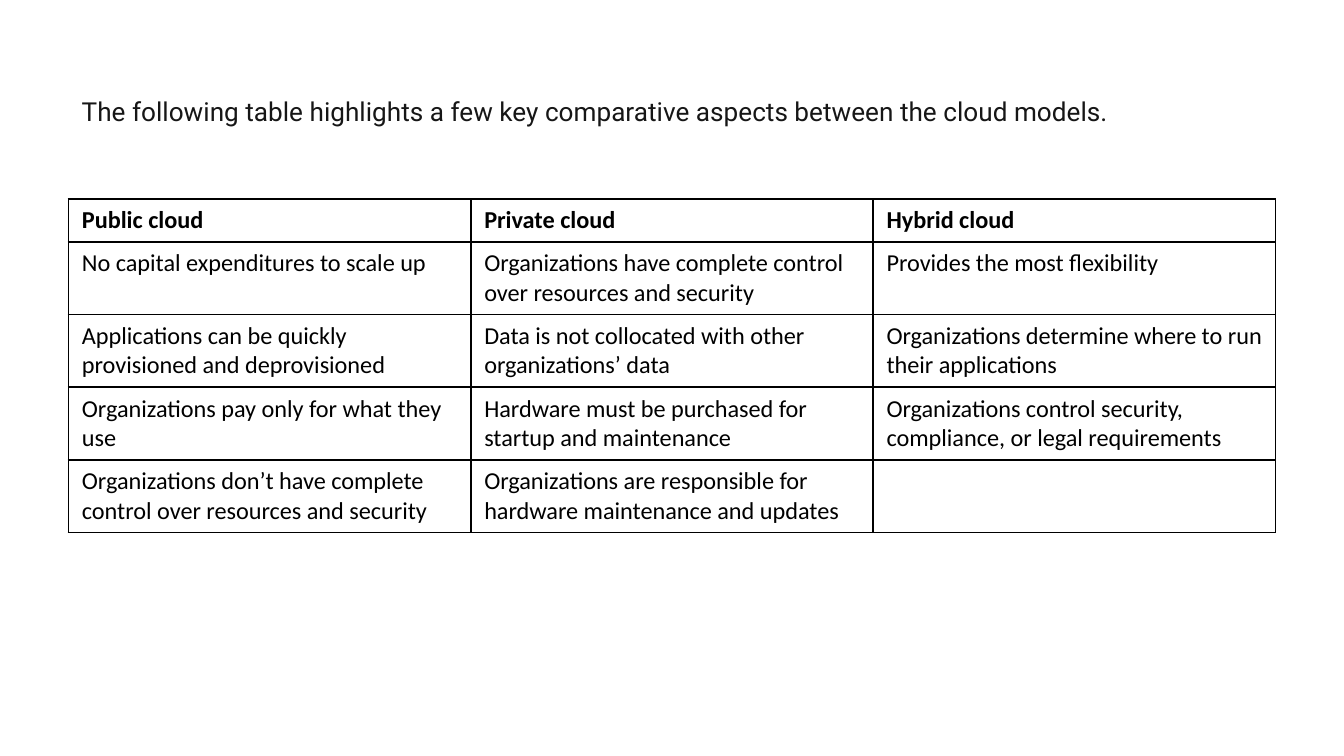
from pptx import Presentation
from pptx.dml.color import RGBColor
from pptx.enum import text
from pptx.oxml import parse_xml
from pptx.oxml.ns import nsdecls
from pptx.util import Inches, Pt

COLORS = {"caption": "161616", "table": "000000"}
CLOUD_MODELS = [
    ["Public cloud", "Private cloud", "Hybrid cloud"],
    ["No capital expenditures to scale up",
     "Organizations have complete control over resources and security",
     "Provides the most flexibility"],
    ["Applications can be quickly provisioned and deprovisioned",
     "Data is not collocated with other organizations’ data",
     "Organizations determine where to run their applications"],
    ["Organizations pay only for what they use",
     "Hardware must be purchased for startup and maintenance",
     "Organizations control security, compliance, or legal requirements"],
    ["Organizations don’t have complete control over resources and security",
     "Organizations are responsible for hardware maintenance and updates",
     ""],
]


def style_font(font, name, size, color):
    font.name = name
    font.size = Pt(size)
    font.color.rgb = RGBColor.from_string(COLORS[color])


def add_borders(cell):
    properties = cell._tc.get_or_add_tcPr()
    for position, side in enumerate(("lnL", "lnR", "lnT", "lnB")):
        properties.insert(position, parse_xml(
            f'<a:{side} {nsdecls("a")} w="{Pt(1)}"><a:solidFill>'
            f'<a:srgbClr val="{COLORS["table"]}"/></a:solidFill></a:{side}>'))


# Widescreen 16:9 slide
prs = Presentation()
prs.slide_width = Inches(10)
prs.slide_height = prs.slide_width * 9 // 16
slide = prs.slides.add_slide(prs.slide_layouts[6])

# Comparison table
row_heights = [0.32] + [0.54] * 4
comparison = slide.shapes.add_table(
    len(CLOUD_MODELS), len(CLOUD_MODELS[0]),
    Inches(0.51), Inches(1.48), Inches(8.98), Inches(sum(row_heights))).table
comparison.horz_banding = False
for row, height in zip(comparison.rows, row_heights):
    row.height = Inches(height)

for r, aspects in enumerate(CLOUD_MODELS):
    for c, aspect in enumerate(aspects):
        cell = comparison.cell(r, c)
        cell.fill.background()
        add_borders(cell)
        cell.text_frame.text = aspect
        paragraph = cell.text_frame.paragraphs[0]
        for run in paragraph.runs:
            style_font(run.font, "Calibri", 13, "table")
            run.font.bold = r == 0

# Caption above the table
caption = slide.shapes.add_textbox(
    Inches(0.51), Inches(0.66), Inches(8.26), Inches(0.67)).text_frame
caption.word_wrap = True
caption.auto_size = text.MSO_AUTO_SIZE.SHAPE_TO_FIT_TEXT
caption.text = ("The following table highlights a few key comparative aspects "
                "between the cloud models.")
style_font(caption.paragraphs[0].runs[0].font, "Roboto", 14, "caption")

prs.save("out.pptx")
